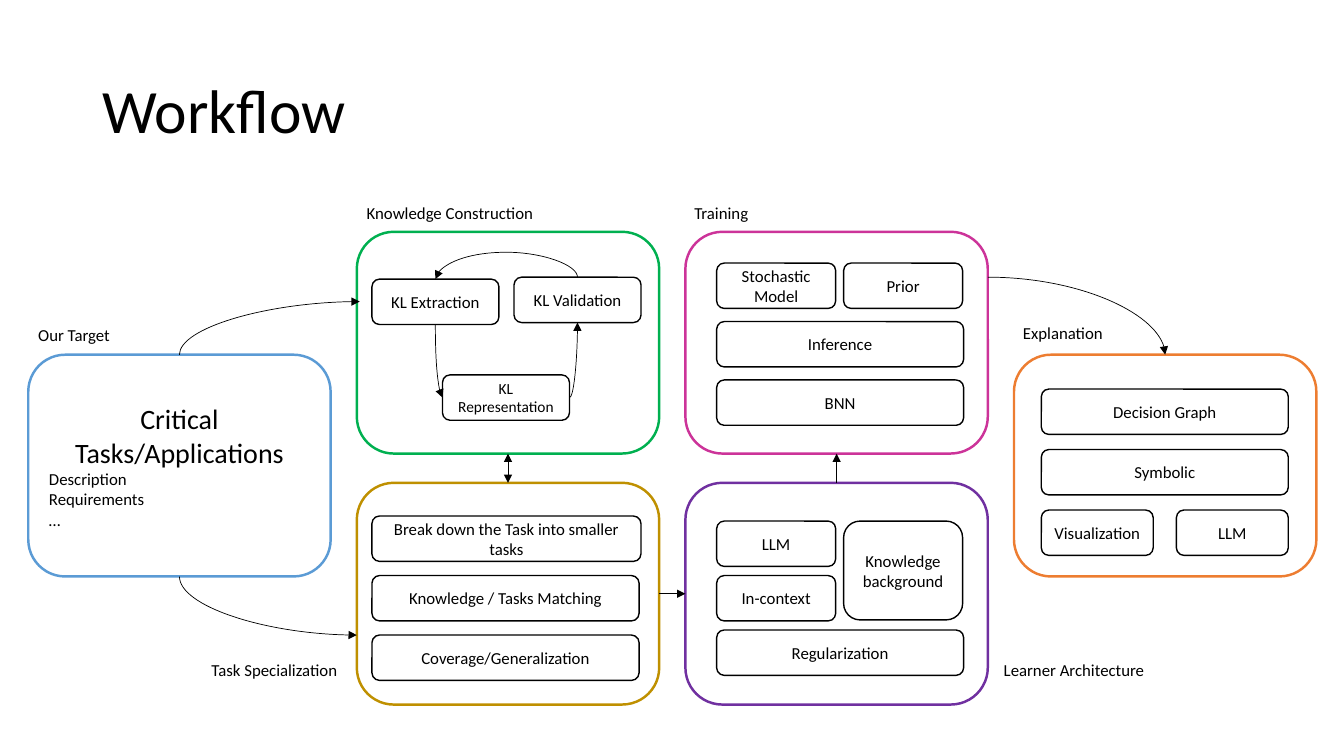
from lxml import etree
from pptx import Presentation
from pptx.dml.color import RGBColor
from pptx.enum.shapes import MSO_CONNECTOR, MSO_SHAPE
from pptx.enum.text import MSO_ANCHOR, PP_ALIGN
from pptx.oxml.ns import qn
from pptx.util import Pt

ROUNDED = MSO_SHAPE.ROUNDED_RECTANGLE
STRAIGHT, CURVE = MSO_CONNECTOR.STRAIGHT, MSO_CONNECTOR.CURVE
MIDDLE, TOP = MSO_ANCHOR.MIDDLE, MSO_ANCHOR.TOP
LEFT, CENTER = PP_ALIGN.LEFT, PP_ALIGN.CENTER
TOP_SIDE, LEFT_SIDE, BOTTOM_SIDE, RIGHT_SIDE = range(4)

FONT = "Calibri"
BLACK, WHITE = "000000", "FFFFFF"
PANEL_W, PANEL_H = 216, 158.4
PANEL_X = [20.2 + 234.7 * column for column in range(4)]
UPPER_Y, MIDDLE_Y, LOWER_Y = 165.6, 253.4, 344.9
BOX_H = 32.4

PANELS = {
    "target": (0, MIDDLE_Y, "5B9BD5"),
    "knowledge": (1, UPPER_Y, "00B050"),
    "tasks": (1, LOWER_Y, "BF9000"),
    "training": (2, UPPER_Y, "CC3399"),
    "learner": (2, LOWER_Y, "7030A0"),
    "explanation": (3, MIDDLE_Y, "ED7D31"),
}
LABELS = [
    ("Our Target", 20.2, 228.2),
    ("Knowledge Construction", 254.9, 141.1),
    ("Task Specialization", 144, 468),
    ("Training", 488.9, 141.1),
    ("Learner Architecture", 709.9, 468),
    ("Explanation", 723.6, 226.8),
]
TASK_X, LEARN_X, LEARN_X2, EXPLAIN_X = 265.7, 511.9, 602.6, 743.8
WIDE, HALF, NARROW, KL_W = 176.4, 85, 79.9, 90.7
BOXES = [
    ("Break down the Task into smaller tasks", TASK_X, 368.6, 192.2),
    ("Knowledge / Tasks Matching", TASK_X, 411.1, 190.8),
    ("Coverage/Generalization", TASK_X, 453.6, 190.8),
    ("KL Extraction", TASK_X, 199.4, KL_W),
    ("KL Validation", 367.2, 198, KL_W),
    ("Stochastic Model", LEARN_X, 187.9, HALF),
    ("Prior", LEARN_X2, 187.9, HALF),
    ("Inference", LEARN_X, 229.7, WIDE),
    ("BNN", LEARN_X, 271.4, WIDE),
    ("LLM", LEARN_X, 372.2, HALF),
    ("In-context", LEARN_X, 411.1, HALF),
    ("Regularization", LEARN_X, 450, WIDE),
    ("Decision Graph", EXPLAIN_X, 277.9, WIDE),
    ("Symbolic", EXPLAIN_X, 321.1, WIDE),
    ("Visualization", EXPLAIN_X, 364.3, NARROW),
    ("LLM", EXPLAIN_X + WIDE - NARROW, 364.3, NARROW),
]


def color(value):
    return RGBColor.from_string(value)


def write(paragraph, text, size=12, align=LEFT, spacing=None):
    paragraph.alignment = align
    paragraph.line_spacing = spacing
    run = paragraph.add_run()
    run.text = text
    run.font.name = FONT
    run.font.size = Pt(size)
    run.font.color.rgb = color(BLACK)


def add_label(slide, text, x, y, w=160, h=21.6, anchor=TOP, **style):
    frame = slide.shapes.add_textbox(Pt(x), Pt(y), Pt(w), Pt(h)).text_frame
    frame.word_wrap = True
    frame.vertical_anchor = anchor
    write(frame.paragraphs[0], text, **style)


def add_rounded(slide, x, y, w, h, outline, weight):
    shape = slide.shapes.add_shape(ROUNDED, Pt(x), Pt(y), Pt(w), Pt(h))
    shape.shadow.inherit = False
    shape.fill.solid()
    shape.fill.fore_color.rgb = color(WHITE)
    shape.line.color.rgb = color(outline)
    shape.line.width = Pt(weight)
    shape.text_frame.word_wrap = True
    shape.text_frame.vertical_anchor = MIDDLE
    return shape


def add_box(slide, text, x, y, w, h=BOX_H, size=12):
    box = add_rounded(slide, x, y, w, h, BLACK, 1)
    write(box.text_frame.paragraphs[0], text, size=size, align=CENTER)


def style_arrow(connector, both_ends=False):
    connector.line.color.rgb = color(BLACK)
    connector.line.width = Pt(0.5)
    line = connector.line._get_or_add_ln()
    for end in ("a:headEnd", "a:tailEnd") if both_ends else ("a:tailEnd",):
        etree.SubElement(line, qn(end), type="triangle")
    etree.SubElement(connector._element.spPr, qn("a:effectLst"))


def add_straight(slide, source, source_side, target, target_side, both_ends=False):
    connector = slide.shapes.add_connector(STRAIGHT, 0, 0, 0, 0)
    connector.begin_connect(source, source_side)
    connector.end_connect(target, target_side)
    style_arrow(connector, both_ends)


def add_curve(slide, start, end, vertical_start=True, rise=None):
    (x1, y1), (x2, y2) = start, end
    if vertical_start:
        mid_x, mid_y = (x1 + x2) / 2, (y1 + y2) / 2
        half_u, half_v = (y2 - y1) / 2, (x1 - x2) / 2
        x1, y1, x2, y2 = mid_x - half_u, mid_y - half_v, mid_x + half_u, mid_y + half_v
    connector = slide.shapes.add_connector(CURVE, Pt(x1), Pt(y1), Pt(x2), Pt(y2))
    properties = connector._element.spPr
    if vertical_start:
        properties.find(qn("a:xfrm")).set("rot", "5400000")
    geometry = properties.find(qn("a:prstGeom"))
    if rise is None:
        geometry.set("prst", "curvedConnector2")
    else:
        bend = round(-rise / (end[1] - start[1]) * 100000)
        guides = geometry.find(qn("a:avLst"))
        etree.SubElement(guides, qn("a:gd"), name="adj1", fmla=f"val {bend}")
    style_arrow(connector)


def main():
    presentation = Presentation()
    presentation.slide_width, presentation.slide_height = Pt(960), Pt(540)
    slide = presentation.slides.add_slide(presentation.slide_layouts[6])

    add_label(slide, "Workflow", 66.2, 28.8, 828, 104.4, anchor=MIDDLE, size=44, spacing=0.9)
    panels = {
        name: add_rounded(slide, PANEL_X[column], y, PANEL_W, PANEL_H, outline, 1.75)
        for name, (column, y, outline) in PANELS.items()
    }
    target_text = panels["target"].text_frame
    write(target_text.paragraphs[0], "Critical Tasks/Applications", size=20, align=CENTER)
    for detail in ("Description", "Requirements", "…"):
        write(target_text.add_paragraph(), detail)

    for label in LABELS:
        add_label(slide, *label)
    for box in BOXES:
        add_box(slide, *box)
    add_box(slide, "KL Representation", 316.1, 267.8, KL_W, size=11)
    add_box(slide, "Knowledge background", LEARN_X2, 372.2, HALF, h=70.6)

    extraction_x, validation_x, representation_y = 311, 412.5, 284
    add_curve(slide, (extraction_x, 231.8), (316.1, representation_y))
    add_curve(slide, (406.8, representation_y), (validation_x, 230.4), vertical_start=False)
    add_curve(slide, (validation_x, 198), (extraction_x, 199.4), rise=18)

    target_x = PANEL_X[0] + PANEL_W / 2
    add_curve(slide, (target_x, MIDDLE_Y), (257, 215.4))
    add_curve(slide, (target_x, MIDDLE_Y + PANEL_H), (PANEL_X[1], 453.6))
    add_curve(slide, (PANEL_X[2] + PANEL_W, 198), (PANEL_X[3] + PANEL_W / 2, MIDDLE_Y),
              vertical_start=False)

    add_straight(slide, panels["knowledge"], BOTTOM_SIDE, panels["tasks"], TOP_SIDE, both_ends=True)
    add_straight(slide, panels["tasks"], RIGHT_SIDE, panels["learner"], LEFT_SIDE)
    add_straight(slide, panels["learner"], TOP_SIDE, panels["training"], BOTTOM_SIDE)
    presentation.save("out.pptx")


if __name__ == "__main__":
    main()
